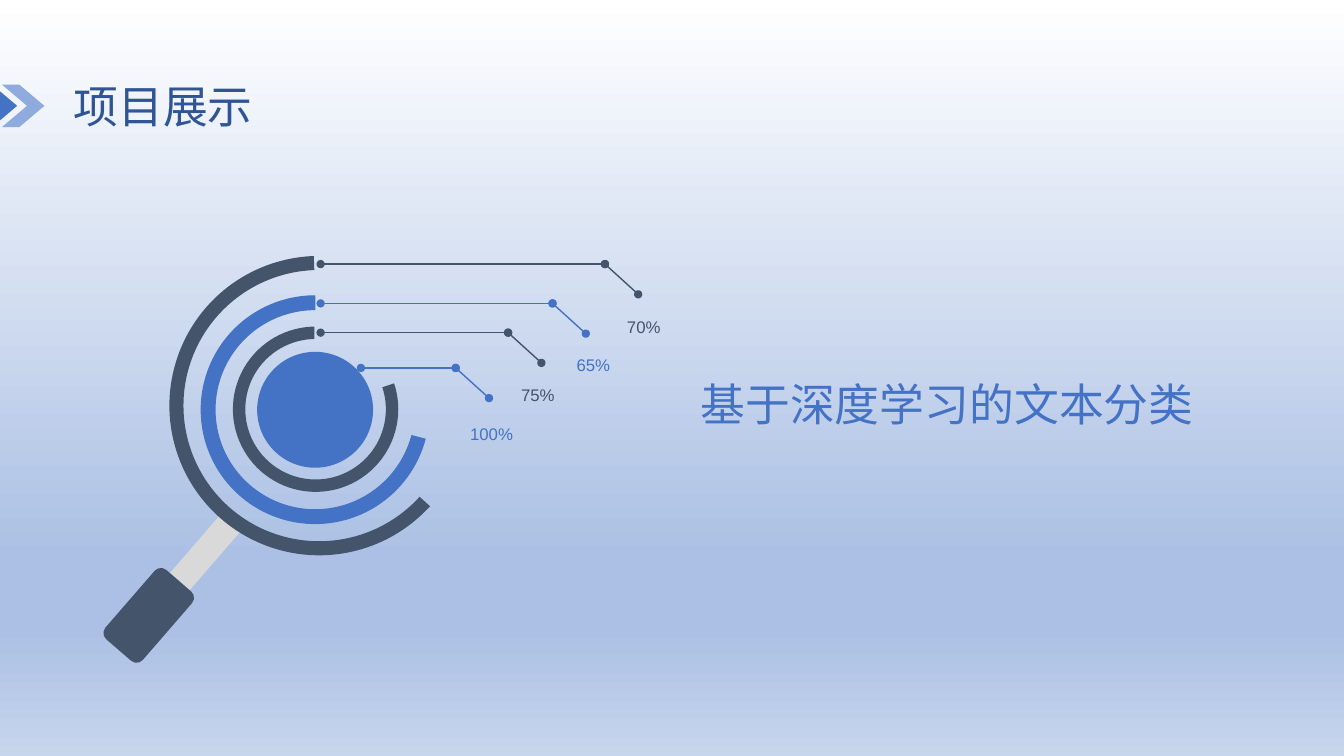
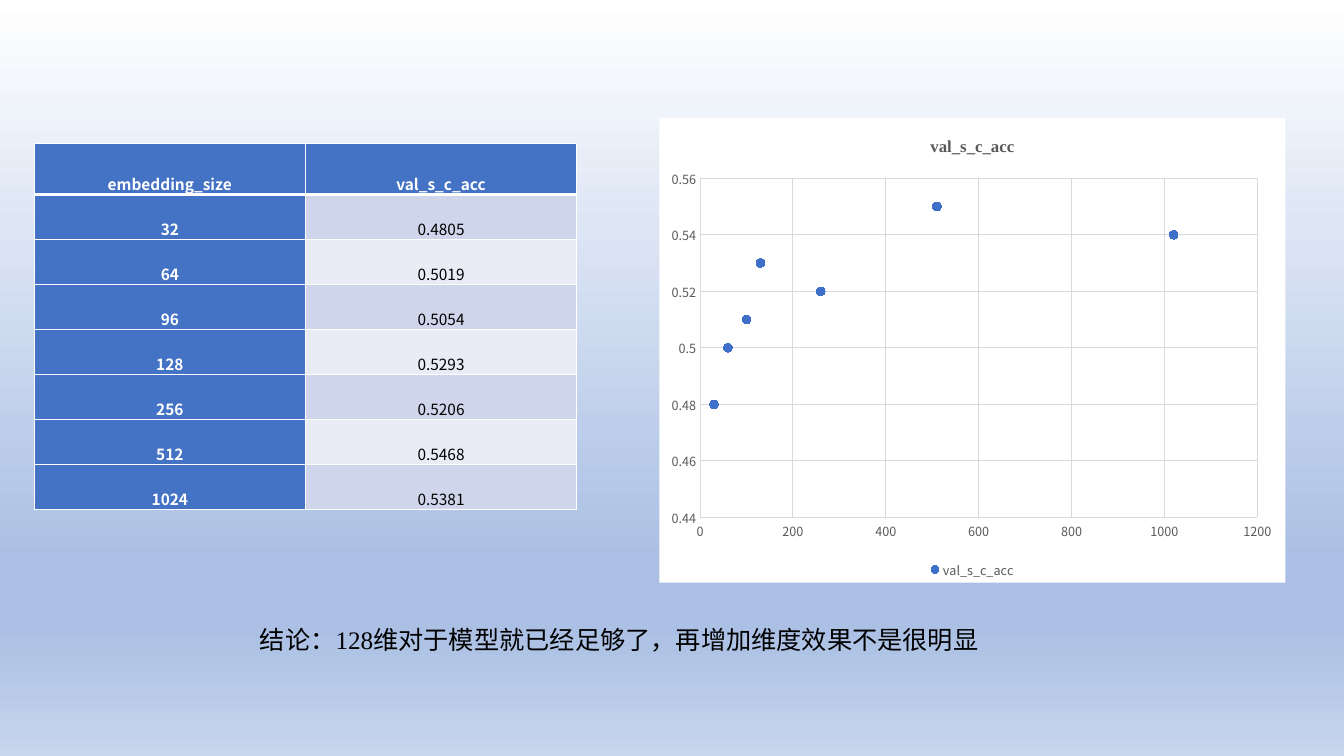
import pptx
import pptx.chart.data
import pptx.dml.color
import pptx.enum.chart
import pptx.enum.shapes
import pptx.enum.text
import pptx.oxml
import pptx.oxml.ns
import pptx.util

Inches, Pt = pptx.util.Inches, pptx.util.Pt
SHAPE = pptx.enum.shapes.MSO_SHAPE
ANCHOR = pptx.enum.text.MSO_ANCHOR
ALIGN = pptx.enum.text.PP_ALIGN

COLORS = {
    "blue": "4472C4", "slate": "44546A", "title": "2F5597", "pale_blue": "8FAADC",
    "gray": "D9D9D9", "text": "595959", "black": "000000", "white": "FFFFFF",
    "band_dark": "CFD5EA", "band_light": "E9EBF5", "marker": "3E70CA",
}
BACKGROUND = [(0, "FFFFFF"), (74, "ABC0E4"), (83, "ABC0E4"), (100, "C7D5ED")]
SANS, ARIAL, SERIF = "Noto Sans CJK SC", "Arial", "Times New Roman"

TITLE = "项目展示"
TOPIC = "基于深度学习的文本分类"
CONCLUSION = "结论：128维对于模型就已经足够了，再增加维度效果不是很明显"

# left, top, width, height, kind, colour, rotation, adjustments
CHEVRONS = [
    (0.02, 0.84, 0.42, 0.42, SHAPE.CHEVRON, "pale_blue", 0, [0.59]),
    (-0.25, 0.84, 0.42, 0.42, SHAPE.CHEVRON, "blue", 0, [0.59]),
]
MAGNIFIER = [
    (1.99, 2.93, 2.27, 2.27, SHAPE.BLOCK_ARC, "blue", 45, [197.83, 135.07, 0.065]),
    (1.84, 4.98, 0.26, 1.15, SHAPE.RECTANGLE, "gray", 40.9, []),
    (1.23, 5.65, 0.49, 0.91, SHAPE.ROUNDED_RECTANGLE, "slate", 40.9, []),
    (1.68, 2.54, 2.97, 2.97, SHAPE.BLOCK_ARC, "slate", 45, [214.33, 133.78, 0.047]),
    (2.31, 3.24, 1.64, 1.64, SHAPE.BLOCK_ARC, "slate", 45, [178.06, 134.45, 0.075]),
    (2.55, 3.49, 1.15, 1.15, SHAPE.OVAL, "blue", 45, []),
]
# label, colour, line start x, elbow x, line y, label left, label top, label width
LEADERS = [
    ("70%", "slate", 3.18, 6.0, 2.62, 6.21, 3.1, 0.35),
    ("65%", "blue", 3.18, 5.48, 3.01, 5.71, 3.48, 0.35),
    ("75%", "slate", 3.18, 5.04, 3.3, 5.16, 3.78, 0.35),
    ("100%", "blue", 3.58, 4.52, 3.65, 4.65, 4.16, 0.45),
]
LEADER_DROP = (0.33, 0.3)

HEADERS = ("embedding_size", "val_s_c_acc")
RESULTS = [(32, 0.4805), (64, 0.5019), (96, 0.5054), (128, 0.5293),
           (256, 0.5206), (512, 0.5468), (1024, 0.5381)]
TABLE_HEIGHT, HEADER_HEIGHT = 3.64, 0.51


def rgb(name):
    return pptx.dml.color.RGBColor.from_string(COLORS[name])


def xml(text):
    """Parse a fragment, adding the namespace declarations to its root."""
    head, mark, tail = text.partition(">")
    slash = "/" if head.endswith("/") else ""
    return pptx.oxml.parse_xml(
        f'{head.rstrip("/")} {pptx.oxml.ns.nsdecls("a", "c")}{slash}{mark}{tail}')


def set_font(font, size, color, name=SANS, bold=False):
    font.size, font.name, font.bold = Pt(size), name, bold
    font.color.rgb = rgb(color)


def set_background(master):
    fill = master.background.fill
    fill.gradient()
    fill.gradient_angle = 270
    stops = master.element.xpath(".//p:bgPr//a:gsLst")[0]
    for stop in list(stops):
        stops.remove(stop)
    for pos, color in BACKGROUND:
        stops.append(xml(f'<a:gs pos="{pos * 1000}"><a:srgbClr val="{color}"/></a:gs>'))


def add_shape(s, left, top, width, height, kind, color, rotation, adjustments):
    sp = s.shapes.add_shape(kind, Inches(left), Inches(top), Inches(width), Inches(height))
    sp.shadow.inherit = False
    sp.fill.solid()
    sp.fill.fore_color.rgb = rgb(color)
    sp.line.fill.background()
    sp.rotation = rotation
    for i, value in enumerate(adjustments):
        sp.adjustments[i] = value


def add_text(s, text, box, size, color, name, anchor=ANCHOR.MIDDLE, spacing=1.0):
    tf = s.shapes.add_textbox(*map(Inches, box)).text_frame
    tf.word_wrap = True
    tf.vertical_anchor = anchor
    p = tf.paragraphs[0]
    p.text = text
    p.line_spacing = spacing
    set_font(p.font, size, color, name)
    return tf


def add_dotted_line(s, start, end, color):
    """Draw a line with a round dot at each end."""
    line = s.shapes.add_connector(pptx.enum.shapes.MSO_CONNECTOR.STRAIGHT,
                                  *map(Inches, start + end))
    line.line.color.rgb = rgb(color)
    line.line.width = Pt(1)
    ln = line.element.xpath("./p:spPr/a:ln")[0]
    for tag in ("headEnd", "tailEnd"):
        ln.append(xml(f'<a:{tag} type="oval"/>'))
    ln.addnext(xml("<a:effectLst/>"))


def add_leader(s, label, color, start_x, elbow_x, y, left, top, width):
    elbow = (elbow_x, y)
    end = (elbow_x + LEADER_DROP[0], y + LEADER_DROP[1])
    add_dotted_line(s, end, elbow, color)
    add_dotted_line(s, elbow, (start_x, y), color)
    tf = add_text(s, label, (left, top, width, 0.24), 12, color, ARIAL, ANCHOR.BOTTOM, 1.2)
    tf.word_wrap = False
    tf.auto_size = pptx.enum.text.MSO_AUTO_SIZE.SHAPE_TO_FIT_TEXT
    tf.margin_left = tf.margin_right = tf.margin_top = tf.margin_bottom = 0
    tf.paragraphs[0].alignment = ALIGN.CENTER


def fill_cell(cell, text, fill, color, bold, bottom_width):
    tc_pr = cell._tc.get_or_add_tcPr()
    for side, width in (("L", 1), ("R", 1), ("T", 1), ("B", bottom_width)):
        tc_pr.append(xml(f'<a:ln{side} w="{Pt(width)}"><a:solidFill>'
                         f'<a:srgbClr val="{COLORS["white"]}"/></a:solidFill></a:ln{side}>'))
    cell.fill.solid()
    cell.fill.fore_color.rgb = rgb(fill)
    cell.vertical_anchor = ANCHOR.BOTTOM
    cell.margin_left = cell.margin_right = Inches(0.07)
    cell.margin_top = cell.margin_bottom = 0
    p = cell.text_frame.paragraphs[0]
    p.text = text
    p.alignment = ALIGN.CENTER
    set_font(p.font, 11, color, bold=bold)


def add_results_table(s):
    rows = [HEADERS] + RESULTS
    row_height = (TABLE_HEIGHT - HEADER_HEIGHT) / len(RESULTS)
    table = s.shapes.add_table(len(rows), 2, Inches(0.34), Inches(1.42),
                               Inches(5.38), Inches(TABLE_HEIGHT)).table
    for i, values in enumerate(rows):
        table.rows[i].height = Inches(row_height if i else HEADER_HEIGHT)
        for j, value in enumerate(values):
            heading = i == 0 or j == 0
            band = "band_dark" if i % 2 else "band_light"
            fill_cell(table.cell(i, j), str(value), "blue" if heading else band,
                      "white" if heading else "black", heading, 1 if i else 3)


def style_axis(axis, low, high, step):
    axis.minimum_scale, axis.maximum_scale, axis.major_unit = low, high, step
    axis.major_tick_mark = axis.minor_tick_mark = pptx.enum.chart.XL_TICK_MARK.NONE
    axis.has_major_gridlines = True
    grid = axis.major_gridlines.format.line
    grid.color.rgb = rgb("gray")
    grid.width = Pt(0.75)
    axis.tick_labels.number_format = "General"
    axis.tick_labels.number_format_is_linked = False
    set_font(axis.tick_labels.font, 9, "text")


def add_results_chart(s):
    data = pptx.chart.data.XyChartData()
    series = data.add_series(HEADERS[1])
    for size, accuracy in RESULTS:
        series.add_data_point(round(size, -1), round(accuracy, 2))
    chart = s.shapes.add_chart(pptx.enum.chart.XL_CHART_TYPE.XY_SCATTER, Inches(6.54),
                               Inches(1.17), Inches(6.21), Inches(4.61), data).chart
    set_font(chart.font, 10, "black")
    chart.element.find(pptx.oxml.ns.qn("c:chart")).addnext(xml(
        f'<c:spPr><a:solidFill><a:srgbClr val="{COLORS["white"]}"/></a:solidFill>'
        '<a:ln><a:noFill/></a:ln></c:spPr>'))

    chart.has_title = True
    p = chart.chart_title.text_frame.paragraphs[0]
    p.text = HEADERS[1]
    set_font(p.font, 12, "text", SERIF, True)
    chart.chart_title.include_in_layout = False
    chart.has_legend = True
    chart.legend.position = pptx.enum.chart.XL_LEGEND_POSITION.BOTTOM
    chart.legend.include_in_layout = False
    set_font(chart.legend.font, 9, "text")

    style_axis(chart.category_axis, 0, 1200, 200)
    chart.category_axis.format.line.color.rgb = rgb("gray")
    style_axis(chart.value_axis, 0.44, 0.56, 0.02)
    chart.value_axis.format.line.fill.background()

    plot = chart.plots[0]
    plot.vary_by_categories = False
    points = plot.series[0]
    points.format.line.fill.background()
    points.marker.style = pptx.enum.chart.XL_MARKER_STYLE.CIRCLE
    points.marker.size = 6
    points.marker.format.fill.solid()
    points.marker.format.fill.fore_color.rgb = rgb("marker")
    points.marker.format.line.fill.background()

    area = chart.element.xpath(".//c:plotArea")[0]
    for layout in area.findall(pptx.oxml.ns.qn("c:layout")):
        area.remove(layout)
    frame = "".join(f'<c:{tag} val="{value}"/>' for tag, value in (
        ("layoutTarget", "inner"), ("xMode", "edge"), ("yMode", "edge"),
        ("x", 0.065), ("y", 0.13), ("w", 0.89), ("h", 0.73)))
    area.insert(0, xml(f"<c:layout><c:manualLayout>{frame}</c:manualLayout></c:layout>"))


def build_project_slide(s):
    add_text(s, TITLE, (0.63, 0.69, 3.05, 0.72), 32, "title", ARIAL)
    for part in CHEVRONS + MAGNIFIER:
        add_shape(s, *part)
    for leader in LEADERS:
        add_leader(s, *leader)
    add_text(s, TOPIC, (6.85, 3.34, 5.17, 1.07), 32, "blue", SANS, spacing=1.5)


def build_results_slide(s):
    add_results_table(s)
    add_results_chart(s)
    add_text(s, CONCLUSION, (2.48, 6.14, 8.03, 0.4), 18, "black", SERIF, ANCHOR.TOP)


def main():
    prs = pptx.Presentation()
    prs.slide_width, prs.slide_height = Inches(13.33), Inches(7.5)
    set_background(prs.slide_master)
    for build in (build_project_slide, build_results_slide):
        build(prs.slides.add_slide(prs.slide_layouts[6]))
    prs.save("out.pptx")


if __name__ == "__main__":
    main()
